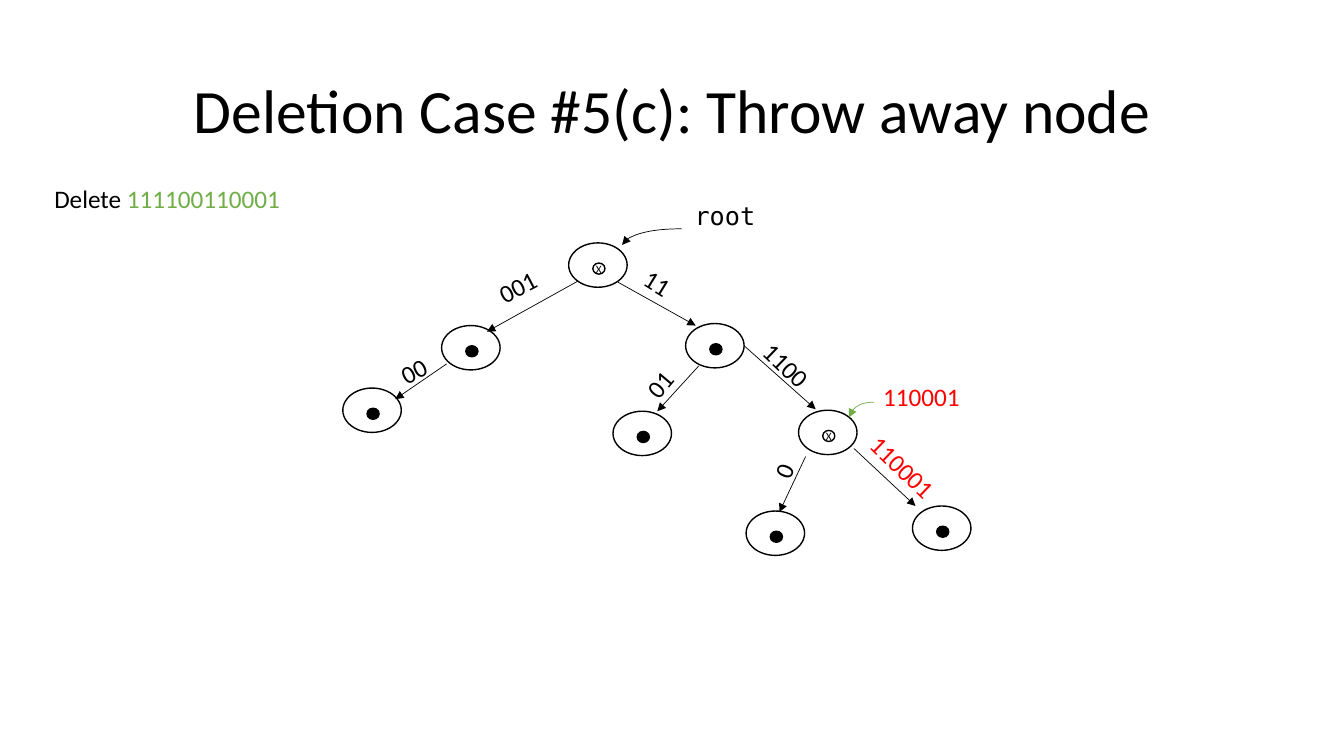
import pptx
import pptx.dml.color
import pptx.enum.shapes
import pptx.enum.text
import pptx.oxml
import pptx.util

Inches = pptx.util.Inches
ANCHOR = pptx.enum.text.MSO_ANCHOR
ALIGN = pptx.enum.text.PP_ALIGN
FIT = pptx.enum.text.MSO_AUTO_SIZE
LINK = pptx.enum.shapes.MSO_CONNECTOR
OVAL = pptx.enum.shapes.MSO_SHAPE.OVAL

COLORS = {"ink": "000000", "removed": "FF0000", "key": "70AD47"}
BODY, CODE = "Calibri", "DejaVu Sans Mono"
NODE_SIZE = (0.58, 0.44)
MARK_SIZE = (0.12, 0.11)
MARK_OFFSET = (0.24, 0.2)
LABEL_HEIGHT = 0.4

LABEL_FORMAT = {"word_wrap": True, "auto_size": FIT.SHAPE_TO_FIT_TEXT}
TITLE_FORMAT = {"word_wrap": True, "vertical_anchor": ANCHOR.MIDDLE}
MARK_FORMAT = {"word_wrap": False, "vertical_anchor": ANCHOR.MIDDLE, "margin_left": 0,
               "margin_right": 0, "margin_top": 0, "margin_bottom": 0}

NODES = [
    (2.24, 0.51, False), (0.98, 1.33, True), (0, 1.95, True), (3.4, 1.31, True),
    (2.68, 2.18, True), (4.52, 2.17, False), (5.65, 3.12, True), (4, 3.17, True),
]
EDGES = [
    ((2.33, 0.89), (1.43, 1.39), "001", (1.43, 0.69, 0.82), 332.3, "ink"),
    ((1.03, 1.71), (0.52, 2.06), "00", (0.47, 1.55, 0.55), 332.3, "ink"),
    ((2.73, 0.9), (3.5, 1.33), "11", (2.87, 0.8, 0.82), 31.6, "ink"),
    ((3.53, 1.73), (3.12, 2.18), "01", (2.85, 1.57, 0.82), 310.1, "ink"),
    ((3.98, 1.53), (4.69, 2.16), "1100", (4.03, 1.56, 0.82), 43.8, "ink"),
    ((5.07, 2.55), (5.68, 3.12), "110001", (5.07, 2.54, 0.98), 43.8, "removed"),
    ((4.59, 2.63), (4.33, 3.18), "0", (4.22, 2.59, 0.29), 291.8, "ink"),
]
POINTERS = [
    ((3.36, 0.37), (2.77, 0.53), "ink", "root", (3.39, 0.04, 0.82), "ink", CODE, True),
    ((5.27, 2.09), (5.02, 2.24), "key", "110001", (5.26, 1.83, 0.97), "removed", BODY, False),
]


def rgb(name):
    """Return the named colour."""
    return pptx.dml.color.RGBColor.from_string(COLORS[name])


def apply_format(target, values):
    """Set each named attribute on the target."""
    for name, value in values.items():
        setattr(target, name, value)


def write(paragraph, text, size, color="ink", font=BODY):
    """Append a run in the given style."""
    run = paragraph.add_run()
    run.text = text
    apply_format(run.font, {"size": pptx.util.Pt(size), "name": font})
    run.font.color.rgb = rgb(color)


def add_label(slide, box, runs, font=BODY, angle=0, wrap=True):
    """Add an 18 point label made of (text, colour) runs."""
    label = slide.shapes.add_textbox(*map(Inches, box))
    label.rotation = angle
    apply_format(label.text_frame, {**LABEL_FORMAT, "word_wrap": wrap})
    for text, color in runs:
        write(label.text_frame.paragraphs[0], text, 18, color, font)


def add_oval(slide, box, filled=False):
    """Add an outlined oval, optionally filled with ink."""
    oval = slide.shapes.add_shape(OVAL, *map(Inches, box))
    oval.shadow.inherit = False
    if filled:
        oval.fill.solid()
        oval.fill.fore_color.rgb = rgb("ink")
    else:
        oval.fill.background()
    oval.line.color.rgb = rgb("ink")
    oval.line.width = pptx.util.Pt(1)
    return oval


def add_arrow(slide, start, end, color="ink", kind=LINK.STRAIGHT):
    """Add a thin arrow, curved through a quarter turn if its kind is CURVE."""
    arrow = slide.shapes.add_connector(kind, *map(Inches, (*start, *end)))
    arrow.line.color.rgb = rgb(color)
    arrow.line.width = pptx.util.Pt(0.5)
    qn = pptx.oxml.ns.qn
    properties = arrow.element.spPr
    head = properties.find(qn("a:ln")).makeelement(qn("a:tailEnd"), {"type": "triangle"})
    properties.find(qn("a:ln")).append(head)
    properties.append(properties.makeelement(qn("a:effectLst"), {}))
    if kind == LINK.CURVE:
        properties.find(qn("a:prstGeom")).set("prst", "curvedConnector2")


def add_node(slide, left, top, filled):
    """Add a tree node with its mark inside."""
    add_oval(slide, (left, top, *NODE_SIZE))
    mark_box = (left + MARK_OFFSET[0], top + MARK_OFFSET[1], *MARK_SIZE)
    mark = add_oval(slide, mark_box, filled)
    apply_format(mark.text_frame, MARK_FORMAT)
    paragraph = mark.text_frame.paragraphs[0]
    paragraph.alignment = ALIGN.CENTER
    write(paragraph, "X", 8)


def add_title(slide, box):
    """Add the centred slide title."""
    title = slide.shapes.add_textbox(*map(Inches, box))
    apply_format(title.text_frame, TITLE_FORMAT)
    paragraph = title.text_frame.paragraphs[0]
    apply_format(paragraph, {"alignment": ALIGN.CENTER, "line_spacing": 0.9})
    write(paragraph, "Deletion Case #5(c): Throw away node", 44)


def add_tree(slide, box):
    """Draw the trie with its edges and pointers inside the box."""
    left, top = box[:2]

    def place(point):
        return left + point[0], top + point[1]

    def label_box(spot):
        return (*place(spot), spot[2], LABEL_HEIGHT)

    for x, y, filled in NODES:
        add_node(slide, *place((x, y)), filled)
    for start, end, bits, spot, angle, color in EDGES:
        add_arrow(slide, place(start), place(end))
        add_label(slide, label_box(spot), [(bits, color)], angle=angle)
    for start, end, color, name, spot, name_color, font, wrap in POINTERS:
        add_arrow(slide, place(start), place(end), color, LINK.CURVE)
        add_label(slide, label_box(spot), [(name, name_color)], font, wrap=wrap)


def main():
    """Build and save the slide."""
    deck = pptx.Presentation()
    apply_format(deck, {"slide_width": Inches(13.33), "slide_height": Inches(7.5)})
    slide = deck.slides.add_slide(deck.slide_layouts[6])
    add_title(slide, (0.92, 0.4, 11.5, 1.45))
    add_label(slide, (0.44, 1.77, 2.77, LABEL_HEIGHT),
              [("Delete ", "ink"), ("111100110001", "key")])
    add_tree(slide, (3.4, 1.9, 6.23, 3.61))
    deck.save("out.pptx")


if __name__ == "__main__":
    main()
